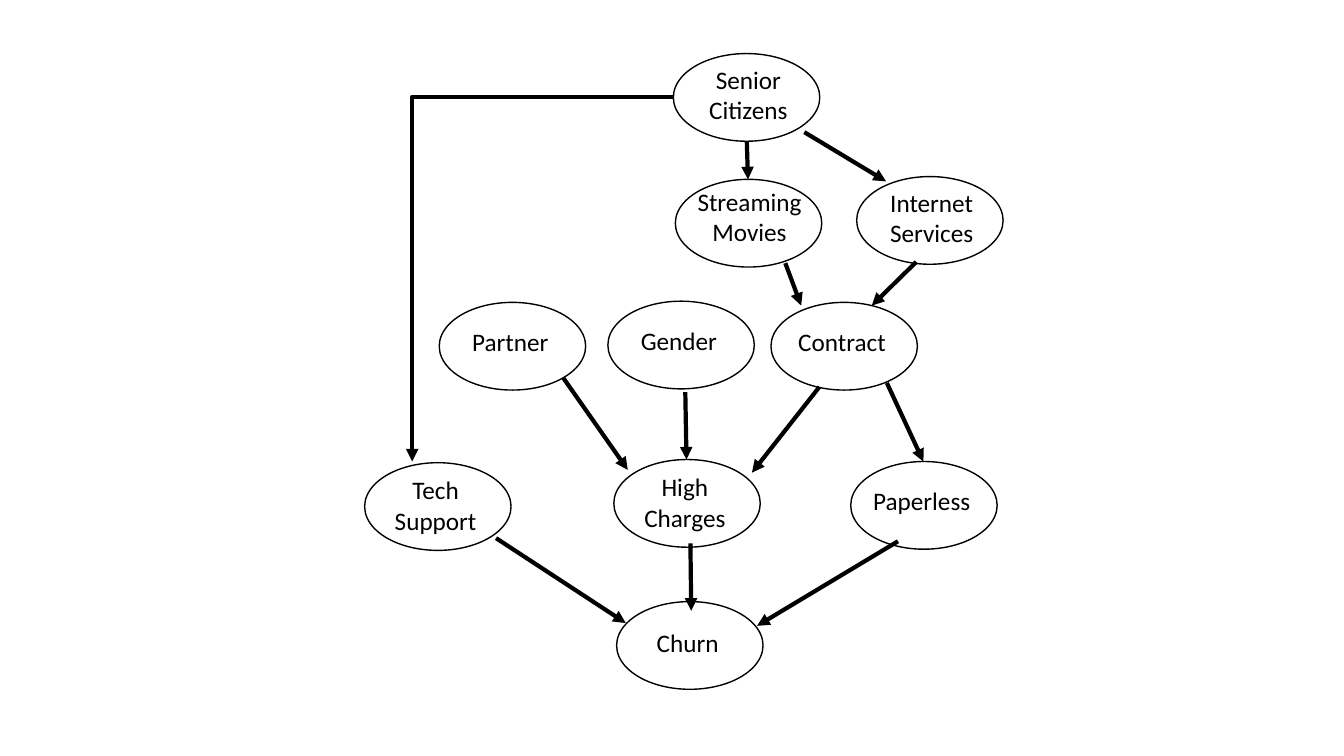
from pptx import Presentation
from pptx.dml.color import RGBColor
from pptx.enum.shapes import MSO_CONNECTOR, MSO_SHAPE
from pptx.enum.text import PP_ALIGN
from pptx.oxml.ns import qn
from pptx.util import Cm, Pt
from lxml.etree import SubElement

BLACK = RGBColor(0x00, 0x00, 0x00)
WHITE = RGBColor(0xFF, 0xFF, 0xFF)

NODE_W, NODE_H = 3.69, 2.21
LABEL_W, LINE_H, LABEL_PAD = 3.38, 0.78, 0.25

# Label, left and top of the ellipse, offset of the label inside it (cm)
NODES = [
    ("Churn", 15.54, 15.16, 0.1, 0.53),
    ("High\vCharges", 15.47, 11.58, 0.1, 0.18),
    ("Paperless", 21.44, 11.63, 0.1, 0.48),
    ("Tech\vSupport", 9.19, 11.66, 0.1, 0.18),
    ("Contract", 19.43, 7.62, 0.1, 0.48),
    ("Gender", 15.32, 7.59, 0.1, 0.48),
    ("Partner", 11.07, 7.62, 0.1, 0.48),
    ("Streaming\vMovies", 17.02, 4.52, 0.18, 0.05),
    ("Internet\vServices", 21.59, 4.45, 0.2, 0.15),
    ("Senior\vCitizens", 16.97, 1.35, 0.2, 0.15),
]

# Start x, y and end x, y (cm)
ARROWS = [
    (18.82, 3.56, 18.85, 4.52),    # Senior Citizens to Streaming Movies
    (20.27, 3.33, 22.33, 4.57),    # Senior Citizens to Internet Services
    (23.09, 6.6, 21.97, 7.7),      # Internet Services to Contract
    (19.79, 6.63, 20.19, 7.7),     # Streaming Movies to Contract
    (20.65, 9.75, 18.95, 11.91),   # Contract to High Charges
    (17.27, 9.88, 17.3, 11.58),    # Gender to High Charges
    (14.2, 9.53, 15.82, 11.84),    # Partner to High Charges
    (22.35, 9.65, 23.27, 11.63),   # Contract to Paperless
    (22.63, 13.64, 19.08, 15.77),  # Paperless to Churn
    (17.4, 13.69, 17.42, 15.39),   # High Charges to Churn
    (12.5, 13.56, 15.77, 15.7),    # Tech Support to Churn
]
SENIOR_TO_SUPPORT = (16.97, 2.44, 10.39, 11.63)


def add_node(slide, label, left, top, dx, dy):
    """Draw an ellipse and lay its label over it."""
    sp = slide.shapes.add_shape(MSO_SHAPE.OVAL, Cm(left), Cm(top), Cm(NODE_W), Cm(NODE_H))
    sp.shadow.inherit = False
    sp.fill.solid()
    sp.fill.fore_color.rgb = WHITE
    sp.line.color.rgb = BLACK
    sp.line.width = Pt(1)

    height = LINE_H * (label.count("\v") + 1) + LABEL_PAD
    box = slide.shapes.add_textbox(Cm(left + dx), Cm(top + dy), Cm(LABEL_W), Cm(height))
    tf = box.text_frame
    tf.word_wrap = True
    p = tf.paragraphs[0]
    p.text = label
    p.alignment = PP_ALIGN.CENTER
    p.font.name = "Calibri"
    p.font.size = Pt(18)
    p.font.color.rgb = BLACK


def add_arrow(slide, points, kind=MSO_CONNECTOR.STRAIGHT):
    cxn = slide.shapes.add_connector(kind, *(Cm(v) for v in points))
    cxn.line.color.rgb = BLACK
    cxn.line.width = Pt(3)
    SubElement(cxn.line._get_or_add_ln(), qn("a:tailEnd"), type="triangle")
    SubElement(cxn._element.spPr, qn("a:effectLst"))
    return cxn


def add_corner_arrow(slide, points):
    """Draw an arrow with a single right-angle bend."""
    cxn = add_arrow(slide, points, MSO_CONNECTOR.ELBOW)
    cxn._element.spPr.find(qn("a:prstGeom")).set("prst", "bentConnector2")


def main():
    prs = Presentation()
    prs.slide_width, prs.slide_height = Cm(33.87), Cm(19.05)
    slide = prs.slides.add_slide(prs.slide_layouts[6])
    for node in NODES:
        add_node(slide, *node)
    for points in ARROWS:
        add_arrow(slide, points)
    add_corner_arrow(slide, SENIOR_TO_SUPPORT)
    prs.save("out.pptx")


if __name__ == "__main__":
    main()
